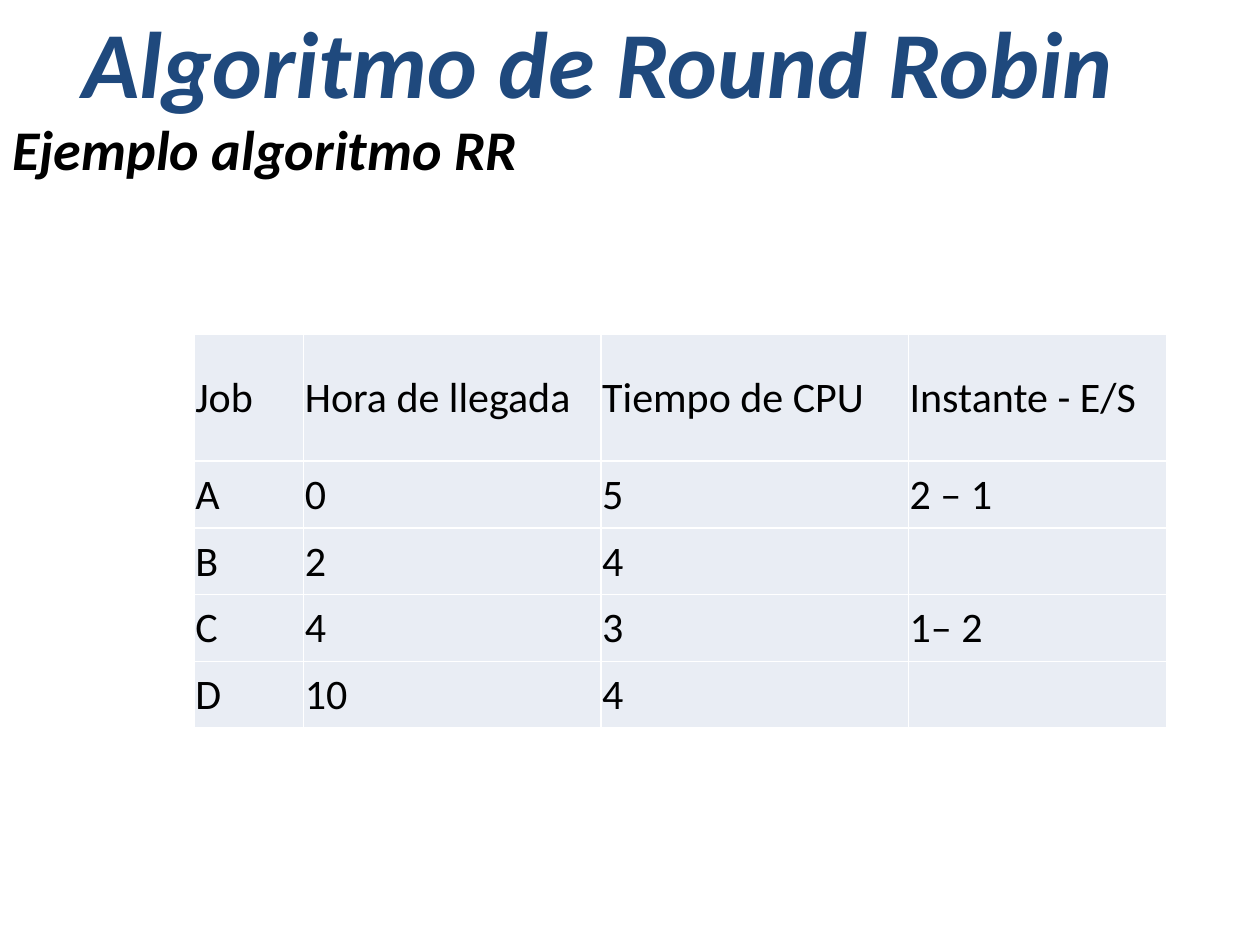
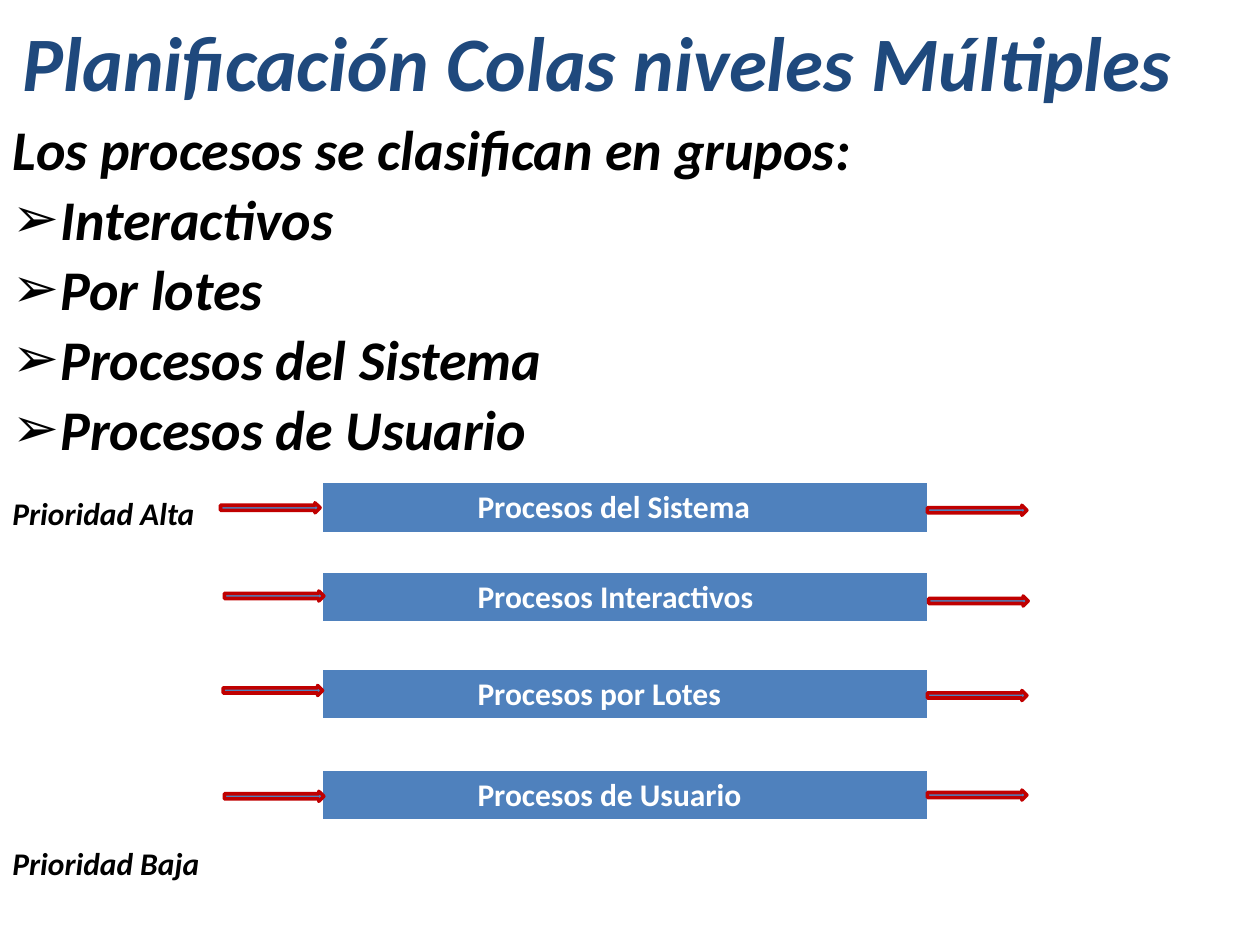
from dataclasses import dataclass

from lxml.etree import SubElement
from pptx import Presentation
from pptx.dml.color import RGBColor
from pptx.enum.shapes import MSO_SHAPE as Preset
from pptx.enum.text import MSO_ANCHOR as Anchor, MSO_AUTO_SIZE as AutoSize, PP_ALIGN as Align
from pptx.oxml.ns import qn
from pptx.slide import Slide
from pptx.table import Table, _Cell as Cell
from pptx.text.text import TextFrame, _Paragraph as Paragraph
from pptx.util import Emu, Pt

EMU_PER_PX = 9144  # 100 px to the inch
FONT = "Calibri"
COLORS = {
    "title": "1F497D",
    "text": "000000",
    "white": "FFFFFF",
    "cell": "E9EDF4",
    "queue": "4F81BD",
    "arrow_line": "C00000",
}


@dataclass(frozen=True)
class Box:
    left: int
    top: int
    width: int
    height: int

    def emu(self) -> tuple[Emu, ...]:
        return tuple(px(n) for n in (self.left, self.top, self.width, self.height))


@dataclass(frozen=True)
class TextStyle:
    size: int
    color: str = "text"
    bold: bool = False
    italic: bool = False


@dataclass(frozen=True)
class Line:
    text: str
    size: int = 32
    bullet: bool = False
    space_before: int = 0


@dataclass(frozen=True)
class Queue:
    label: str
    top: int
    arrow_in: tuple[int, int]
    arrow_out: tuple[int, int]


TITLE_BOX = Box(0, 13, 949, 71)
BODY_BOX = Box(0, 84, 988, 666)
LINE_SPACING = 40
BULLET_INDENT = 38

JOB_COLUMNS = [87, 236, 244, 205]
JOB_ROWS = [101, 53, 53, 53, 53]
JOBS = [
    ["Job", "Hora de llegada", "Tiempo de CPU", "Instante - E/S"],
    ["A", "0", "5", "2 – 1"],
    ["B", "2", "4", ""],
    ["C", "4", "3", "1– 2"],
    ["D", "10", "4", ""],
]

GROUPS = ["Interactivos", "Por lotes", "Procesos del Sistema", "Procesos de Usuario"]
QUEUE_LEFT, QUEUE_WIDTH, QUEUE_HEIGHT = 256, 480, 41
QUEUE_TEXT_INDENT = 123
ARROW_WIDTH, ARROW_HEIGHT = 79, 8
QUEUES = [
    Queue("Procesos del Sistema", 383, (175, 399), (736, 401)),
    Queue("Procesos Interactivos", 454, (178, 469), (737, 473)),
    Queue("Procesos por Lotes", 531, (177, 544), (736, 548)),
    Queue("Procesos de Usuario", 611, (178, 628), (736, 627)),
]


def px(length: int) -> Emu:
    return Emu(length * EMU_PER_PX)


def rgb(name: str) -> RGBColor:
    return RGBColor.from_string(COLORS[name])


def add_run(paragraph: Paragraph, text: str, style: TextStyle) -> None:
    run = paragraph.add_run()
    run.text = text
    font = run.font
    font.name, font.size = FONT, Pt(style.size)
    font.bold, font.italic = style.bold, style.italic
    font.color.rgb = rgb(style.color)


def add_text_frame(slide: Slide, box: Box, anchor: Anchor) -> TextFrame:
    frame = slide.shapes.add_textbox(*box.emu()).text_frame
    frame.word_wrap = True
    frame.auto_size = AutoSize.NONE
    frame.vertical_anchor = anchor
    return frame


def add_title(slide: Slide, text: str, size: int) -> None:
    paragraph = add_text_frame(slide, TITLE_BOX, Anchor.MIDDLE).paragraphs[0]
    paragraph.alignment = Align.CENTER
    add_run(paragraph, text, TextStyle(size, "title", bold=True, italic=True))


def add_bullet(paragraph: Paragraph) -> None:
    properties = paragraph._p.get_or_add_pPr()
    properties.set("marL", str(px(BULLET_INDENT)))
    properties.set("indent", str(-px(BULLET_INDENT)))
    SubElement(properties, qn("a:buFont"), typeface=FONT)
    SubElement(properties, qn("a:buChar"), char="➢")


def add_body(slide: Slide, lines: list[Line]) -> None:
    frame = add_text_frame(slide, BODY_BOX, Anchor.TOP)
    for index, line in enumerate(lines):
        paragraph = frame.add_paragraph() if index else frame.paragraphs[0]
        paragraph.line_spacing = Pt(LINE_SPACING)
        paragraph.space_before = Pt(line.space_before)
        if line.bullet:
            add_bullet(paragraph)
        add_run(paragraph, line.text, TextStyle(line.size, bold=True, italic=True))


def add_table(slide: Slide, left: int, top: int, columns: list[int], rows: list[int]) -> Table:
    box = Box(left, top, sum(columns), sum(rows))
    table = slide.shapes.add_table(len(rows), len(columns), *box.emu()).table
    table.first_row = table.horz_banding = False
    for column, width in zip(table.columns, columns):
        column.width = px(width)
    for row, height in zip(table.rows, rows):
        row.height = px(height)
    return table


def style_cell(cell: Cell, fill: str, bottom_border: int = 1) -> None:
    # Borders come before the fill in the cell properties
    properties = cell._tc.get_or_add_tcPr()
    for side, width in (("L", 1), ("R", 1), ("T", 1), ("B", bottom_border)):
        border = SubElement(properties, qn(f"a:ln{side}"), w=str(Pt(width)))
        border_fill = SubElement(border, qn("a:solidFill"))
        SubElement(border_fill, qn("a:srgbClr"), val=COLORS["white"])
    cell.fill.solid()
    cell.fill.fore_color.rgb = rgb(fill)


def add_job_table(slide: Slide) -> None:
    table = add_table(slide, 154, 265, JOB_COLUMNS, JOB_ROWS)
    for row, texts in zip(table.rows, JOBS):
        for cell, text in zip(row.cells, texts):
            style_cell(cell, "cell")
            cell.vertical_anchor = Anchor.MIDDLE
            cell.margin_left = cell.margin_top = cell.margin_right = px(1)
            cell.margin_bottom = 0
            if text:
                paragraph = cell.text_frame.paragraphs[0]
                paragraph.alignment = Align.JUSTIFY
                add_run(paragraph, text, TextStyle(24))


def add_arrow(slide: Slide, left: int, top: int) -> None:
    box = Box(left, top, ARROW_WIDTH, ARROW_HEIGHT)
    arrow = slide.shapes.add_shape(Preset.RIGHT_ARROW, *box.emu())
    arrow.shadow.inherit = False
    arrow.fill.solid()
    arrow.fill.fore_color.rgb = rgb("queue")
    arrow.line.color.rgb = rgb("arrow_line")
    arrow.line.width = Pt(2)


def add_queue(slide: Slide, queue: Queue) -> None:
    table = add_table(slide, QUEUE_LEFT, queue.top, [QUEUE_WIDTH], [QUEUE_HEIGHT])
    cell = table.cell(0, 0)
    style_cell(cell, "queue", bottom_border=3)
    cell.margin_left = px(QUEUE_TEXT_INDENT)
    add_run(cell.text_frame.paragraphs[0], queue.label, TextStyle(18, "white", bold=True))
    for left, top in (queue.arrow_in, queue.arrow_out):
        add_arrow(slide, left, top)


def main() -> None:
    presentation = Presentation()
    presentation.slide_width, presentation.slide_height = px(1000), px(750)
    blank = presentation.slide_layouts[6]

    # Round Robin example
    slide = presentation.slides.add_slide(blank)
    add_title(slide, "Algoritmo de Round Robin", 54)
    add_body(slide, [Line("Ejemplo algoritmo RR")])
    add_job_table(slide)

    # Multilevel queues, from high to low priority
    slide = presentation.slides.add_slide(blank)
    add_title(slide, "Planificación Colas niveles Múltiples", 44)
    add_body(slide, [
        Line("Los procesos se clasifican en grupos:"),
        *(Line(group, bullet=True) for group in GROUPS),
        Line("Prioridad Alta", size=18),
        Line("Prioridad Baja", size=18, space_before=4 * LINE_SPACING),
    ])
    for queue in QUEUES:
        add_queue(slide, queue)

    presentation.save("out.pptx")


if __name__ == "__main__":
    main()
